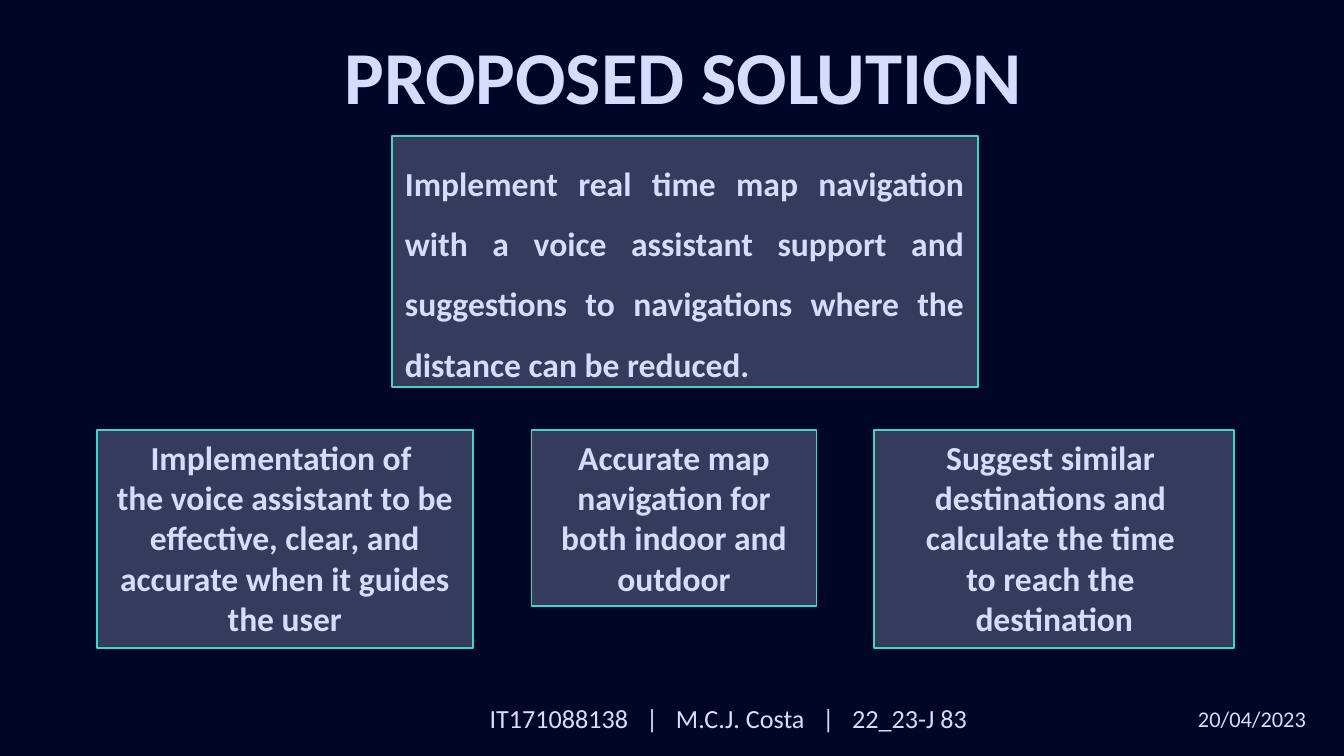
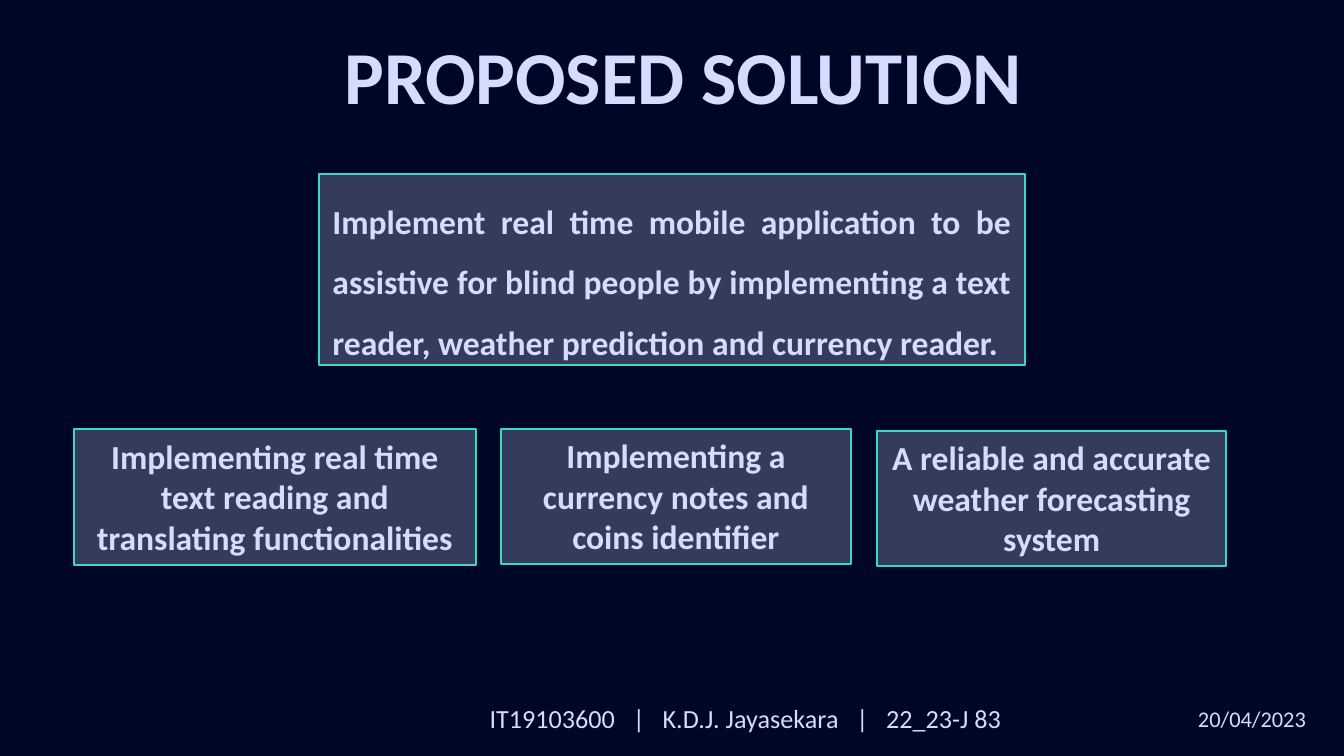
from lxml import etree
from pptx import Presentation
from pptx import util as u
from pptx.dml.color import RGBColor
from pptx.enum import shapes, text
from pptx.oxml.ns import qn

PX = 4572  # 200 px to the inch
COLOURS = {"night": "000626", "lavender": "D6DCFF", "teal": "3ED7C3"}
ALIGN = text.PP_ALIGN
ANCHOR = text.MSO_ANCHOR
SEPARATOR_GAP = 630  # extra width of a separator space, in 1/100 pt


def px(length):
    return u.Emu(length * PX)


def colour(name):
    return RGBColor.from_string(COLOURS[name])


class Deck:
    def __init__(self, width, height):
        self.prs = Presentation()
        self.prs.slide_width, self.prs.slide_height = px(width), px(height)
        self.slide = None

    def new_slide(self):
        self.slide = self.prs.slides.add_slide(self.prs.slide_layouts[6])
        fill = self.slide.background.fill
        fill.solid()
        fill.fore_color.rgb = colour("night")

    def run(self, paragraph, words, size, bold=False, gap=None):
        run = paragraph.add_run()
        run.text = words
        run.font.name = "Calibri"
        run.font.size = u.Pt(size)
        run.font.bold = bold
        run.font.color.rgb = colour("lavender")
        if gap:
            run.font._element.set("spc", str(gap))

    def text_box(self, place, anchor=ANCHOR.TOP):
        """Add an empty wrapped text box and return its text frame."""
        frame = self.slide.shapes.add_textbox(*map(px, place)).text_frame
        frame.word_wrap = True
        frame.vertical_anchor = anchor
        return frame

    def title(self, words):
        frame = self.text_box((493, 50, 1052, 148), ANCHOR.BOTTOM)
        frame.margin_top = frame.margin_bottom = px(20)
        self.run(frame.paragraphs[0], words, 40, bold=True)

    def date(self, words):
        frame = self.text_box((1763, 1040, 218, 60))
        frame.auto_size = text.MSO_AUTO_SIZE.SHAPE_TO_FIT_TEXT
        self.run(frame.paragraphs[0], words, 12)

    def footer(self, parts, width):
        """Set the parts in one line with widely spaced bars between them."""
        frame = self.text_box((709, 1028, width, 80), ANCHOR.MIDDLE)
        line = frame.paragraphs[0]
        for index, part in enumerate(parts):
            if index:
                self.run(line, " ", 14, gap=SEPARATOR_GAP)
                self.run(line, "|", 14)
                self.run(line, " ", 14, gap=SEPARATOR_GAP)
            self.run(line, part, 14)

    def card(self, place, lines, align=ALIGN.CENTER, spacing=None):
        panel = self.slide.shapes.add_shape(
            shapes.MSO_SHAPE.RECTANGLE, *map(px, place))
        panel.shadow.inherit = False
        panel.fill.solid()
        panel.fill.fore_color.rgb = colour("lavender")
        tint = panel._element.spPr.find(qn("a:solidFill"))[0]
        etree.SubElement(tint, qn("a:alpha")).set("val", "25000")
        panel.line.color.rgb = colour("teal")
        panel.line.width = u.Pt(1)
        frame = panel.text_frame
        frame.word_wrap = True
        frame.vertical_anchor = ANCHOR.TOP
        frame.auto_size = text.MSO_AUTO_SIZE.SHAPE_TO_FIT_TEXT
        for index, words in enumerate(lines):
            paragraph = frame.add_paragraph() if index else frame.paragraphs[0]
            paragraph.alignment = align
            if spacing:
                paragraph.line_spacing = spacing
            self.run(paragraph, words, 18, bold=True)

    def solution(self, goal, features, author, footer_width):
        """Build one slide: a goal card above a row of feature cards."""
        self.new_slide()
        self.title("PROPOSED SOLUTION")
        self.date("20/04/2023")
        self.footer((*author, "22_23-J 83"), footer_width)
        place, statement = goal
        self.card(place, [statement], ALIGN.JUSTIFY, 1.5)
        for place, lines in features:
            self.card(place, lines)


def main():
    deck = Deck(2000, 1125)
    deck.solution(
        goal=((583, 202, 872, 374),
              "Implement real time map navigation with a voice assistant support "
              "and suggestions to navigations where the distance can be reduced."),
        features=[
            ((144, 640, 560, 324),
             ["Implementation of ",
              "the voice assistant to be effective, clear, and accurate "
              "when it guides the user"]),
            ((791, 640, 424, 262),
             ["Accurate map navigation for both indoor and outdoor"]),
            ((1301, 640, 536, 324),
             ["Suggest similar ", "destinations and ", "calculate the time ",
              "to reach the ", "destination"]),
        ],
        author=("IT171088138", "M.C.J. Costa"),
        footer_width=860)
    deck.solution(
        goal=((475, 259, 1050, 284),
              "Implement real time mobile application to be assistive for blind "
              "people by implementing a text reader, weather prediction and "
              "currency reader."),
        features=[
            ((110, 639, 598, 202),
             ["Implementing real time text reading and translating "
              "functionalities"]),
            ((746, 638, 520, 202),
             ["Implementing a currency notes and coins identifier"]),
            ((1305, 641, 520, 202),
             ["A reliable and accurate ", "weather forecasting system"]),
        ],
        author=("IT19103600", "K.D.J. Jayasekara"),
        footer_width=954)
    deck.prs.save("out.pptx")


if __name__ == "__main__":
    main()
